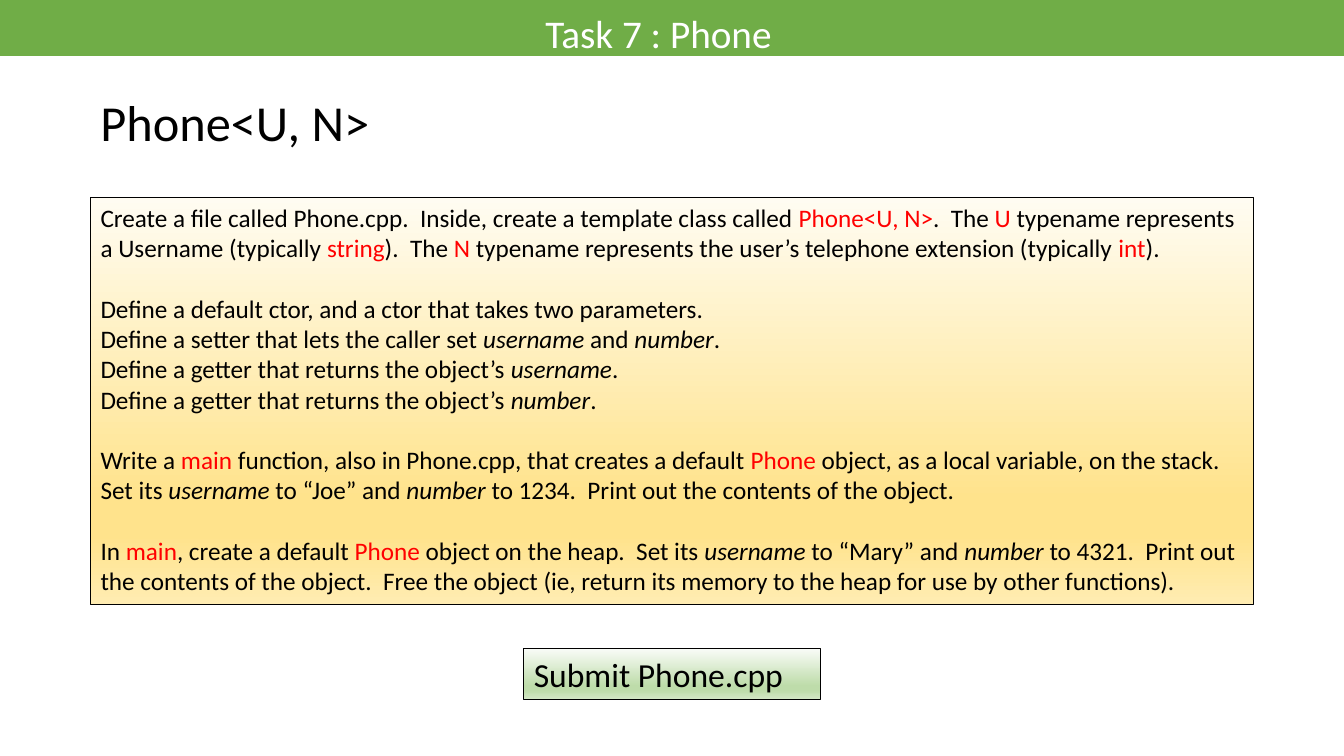
from lxml import etree
from pptx import Presentation
from pptx import util as u
from pptx.dml.color import RGBColor
from pptx.enum import shapes, text
from pptx.oxml.ns import qn

COLORS = {"banner": "70AD47", "light": "FFFFFF", "ink": "000000", "code": "FF0000"}
YELLOW_STOPS = [(0, "FFFCF2"), (74, "FFE38C"), (83, "FFE38C"), (100, "FFECB2")]
GREEN_STOPS = [(0, "F8FBF6"), (74, "BEDCAA"), (83, "BEDCAA"), (100, "D4E8C6")]
SLIDE_W, SLIDE_H = 960, 540
FONT = "Calibri"
LINE_GAP = 21.6  # one line of 18 pt text

# Marked words stand between bars: fields are italic, code is red
FIELDS = {"username", "number"}
INSTRUCTIONS = [
    ["Create a file called Phone.cpp.  Inside, create a template class called |Phone<U, N>|.  "
     "The |U |typename represents a Username (typically |string|).  The |N |typename represents "
     "the user’s telephone extension (typically |int|)."],
    ["Define a default ctor, and a ctor that takes two parameters.",
     "Define a setter that lets the caller set |username| and |number|.",
     "Define a getter that returns the object’s |username|.",
     "Define a getter that returns the object’s |number|."],
    ["Write a |main| function, also in Phone.cpp, that creates a default |Phone| object, as a "
     "local variable, on the stack.  Set its |username| to “Joe” and |number| to 1234.  "
     "Print out the contents of the object."],
    ["In |main|, create a default |Phone| object on the heap.  Set its |username| to “Mary” and "
     "|number| to 4321.  Print out the contents of the object.  Free the object (ie, return its "
     "memory to the heap for use by other functions)."],
]


def rgb(name):
    return RGBColor.from_string(COLORS[name])


def place(part, box):
    part.left, part.top, part.width, part.height = (u.Pt(v) for v in box)


def set_frame(frame):
    frame.word_wrap = True
    frame.auto_size = text.MSO_AUTO_SIZE.NONE
    frame.vertical_anchor = text.MSO_ANCHOR.TOP
    frame.margin_left = frame.margin_right = u.Pt(7.2)
    frame.margin_top = frame.margin_bottom = u.Pt(3.6)


def set_paragraph(paragraph, size, color="ink", before=0):
    paragraph.alignment = text.PP_ALIGN.LEFT
    paragraph.space_before = u.Pt(before)
    paragraph.font.name = FONT
    paragraph.font.size = u.Pt(size)
    paragraph.font.color.rgb = rgb(color)


def write_line(part, words, size, color="ink"):
    set_frame(part.text_frame)
    part.text_frame.text = words
    set_paragraph(part.text_frame.paragraphs[0], size, color)


def paint_panel(panel, stops):
    """Vertical gradient with a thin dark outline."""
    panel.fill.gradient()
    panel.fill.gradient_angle = 270
    stop_list = panel._element.spPr.find(".//" + qn("a:gsLst"))
    for old_stop in list(stop_list):
        stop_list.remove(old_stop)
    for percent, color in stops:
        stop = etree.SubElement(stop_list, qn("a:gs"), pos=str(percent * 1000))
        etree.SubElement(stop, qn("a:srgbClr"), val=color)
    panel.line.color.rgb = rgb("ink")
    panel.line.width = u.Pt(0.75)


def add_rectangle(slide, box):
    rectangle = slide.shapes.add_shape(shapes.MSO_SHAPE.RECTANGLE, *(u.Pt(v) for v in box))
    rectangle.shadow.inherit = False
    return rectangle


def add_banner(slide, box, words):
    left, top, width, height = box
    banner = add_rectangle(slide, box)
    banner.fill.solid()
    banner.fill.fore_color.rgb = rgb("banner")
    banner.line.fill.background()
    slide.shapes._spTree.insert(2, banner._element)  # behind the title
    title = slide.shapes.title
    place(title, (left + 382.3, top + 2.9, 240.5, height + 0.9))
    write_line(title, words, 28, "light")


def add_heading(slide, box, words):
    heading = slide.shapes.add_textbox(*(u.Pt(v) for v in box))
    write_line(heading, words, 36)


def add_instructions(slide, box, groups):
    panel = slide.placeholders[1]
    place(panel, box)
    paint_panel(panel, YELLOW_STOPS)
    frame = panel.text_frame
    set_frame(frame)
    for g, group in enumerate(groups):
        for i, line in enumerate(group):
            first = g == i == 0
            paragraph = frame.paragraphs[0] if first else frame.add_paragraph()
            set_paragraph(paragraph, 18, before=LINE_GAP if g and i == 0 else 0)
            # No bullet, no indent
            properties = paragraph._p.get_or_add_pPr()
            properties.set("marL", "0")
            properties.set("indent", "0")
            bullet_off = etree.Element(qn("a:buNone"))
            properties.find(qn("a:defRPr")).addprevious(bullet_off)
            for k, words in enumerate(line.split("|")):
                run = paragraph.add_run()
                run.text = words
                # Explicit formatting keeps every run independent of the template
                run.font.name, run.font.size = FONT, u.Pt(18)
                marked = k % 2 == 1
                is_field = marked and words in FIELDS
                run.font.italic = is_field
                run.font.color.rgb = rgb("code" if marked and not is_field else "ink")


def add_submit_box(slide, box, words):
    panel = add_rectangle(slide, box)
    paint_panel(panel, GREEN_STOPS)
    write_line(panel, words, 24)


def main():
    deck = Presentation()
    deck.slide_width, deck.slide_height = u.Pt(SLIDE_W), u.Pt(SLIDE_H)
    slide = deck.slides.add_slide(deck.slide_layouts[1])
    margin = 64.6
    add_banner(slide, (0, 0, SLIDE_W, 40), "Task 7 : Phone")
    add_heading(slide, (margin, 61.2, 478, 51), "Phone<U, N>")
    add_instructions(slide, (margin, 141, SLIDE_W - 2 * margin, 290.8), INSTRUCTIONS)
    submit_width = 211.6
    add_submit_box(slide, ((SLIDE_W - submit_width) / 2, 463.4, submit_width, 36.2),
                   "Submit Phone.cpp")
    deck.save("out.pptx")


if __name__ == "__main__":
    main()
